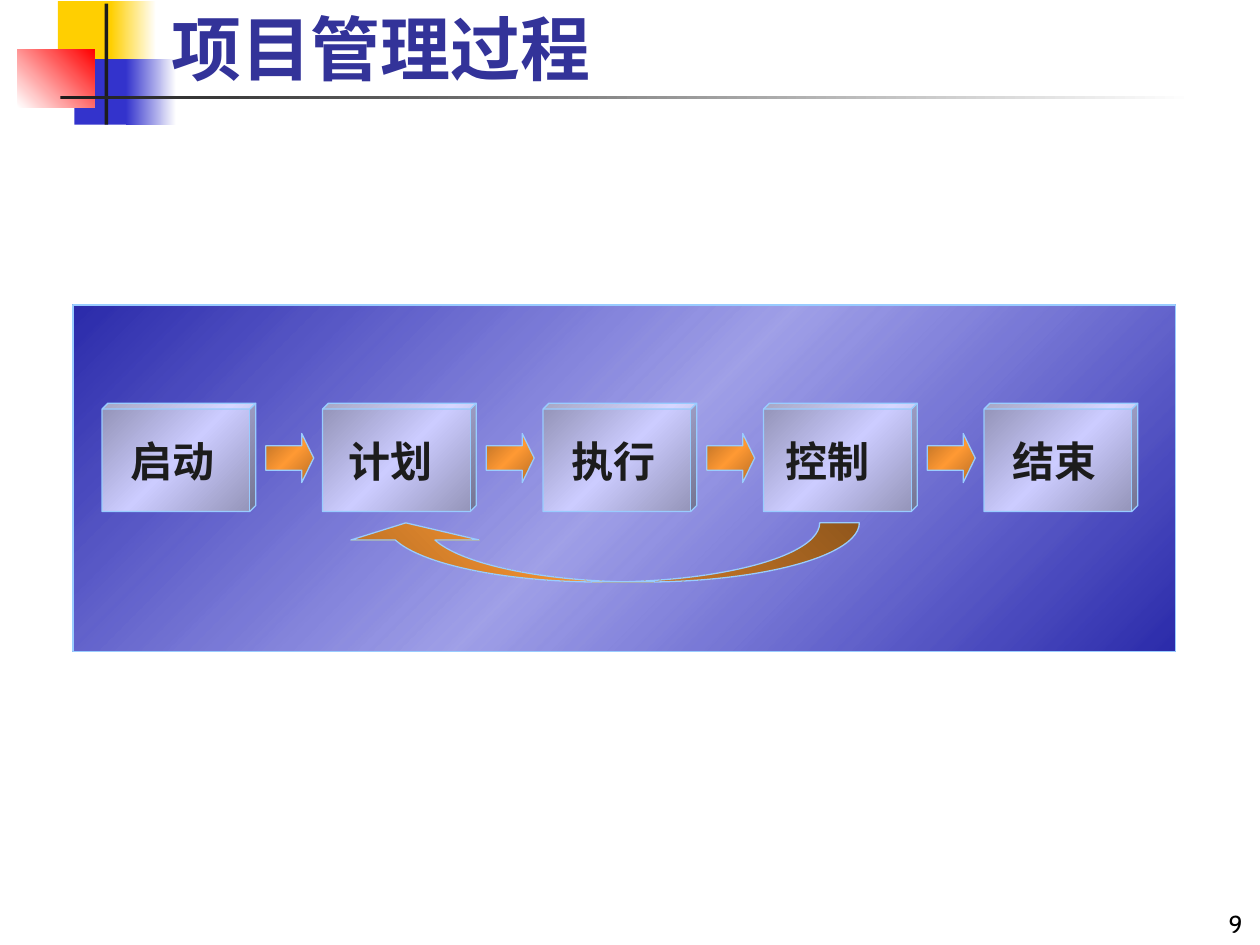
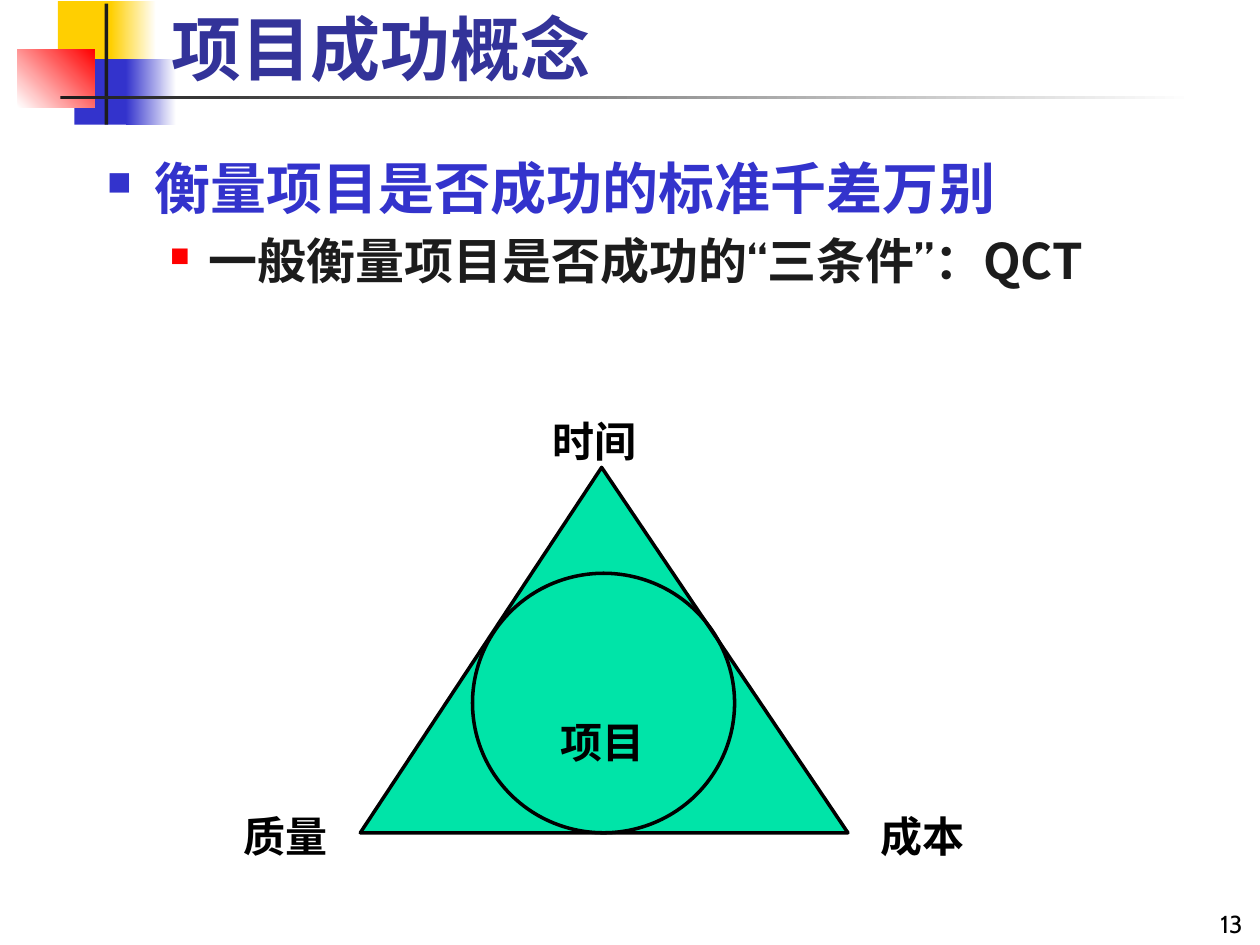
from lxml.etree import SubElement
from pptx import Presentation
from pptx.dml.color import RGBColor
from pptx.enum.shapes import MSO_SHAPE
from pptx.enum.text import MSO_ANCHOR, PP_ALIGN
from pptx.oxml.ns import qn
from pptx.util import Inches, Pt

COLORS = {
    "yellow": "FFCF01", "blue": "3333CC", "red": "FF0000", "white": "FFFFFF",
    "ink": "1C1C1C", "black": "000000", "title": "333399", "navy": "2B2BAA",
    "steel": "9292B6", "lilac": "CCCCFF", "sky": "99CCFF",
    "rust": "B66D24", "orange": "FF9933", "green": "00E4A8",
}
LATIN, CJK = "Cabin", "Noto Sans CJK SC"
COLS, ROWS = 100, 75
PANEL = (5.8, 24.2, 87.5, 27.5)
METAL = ["steel", "lilac", "steel"]
COPPER = ["rust", "orange", "rust"]


class Deck:
    """Hold the shared style and the current slide, and draw each kind of element."""

    def __init__(self):
        self.prs = Presentation()
        self.prs.slide_width, self.prs.slide_height = Inches(10), Inches(7.5)
        self.col = self.prs.slide_width / COLS
        self.row = self.prs.slide_height / ROWS
        self.s = None

    def place(self, x, y, w, h):
        return (round(x * self.col), round(y * self.row),
                round(w * self.col), round(h * self.row))

    def color(self, name):
        return RGBColor.from_string(COLORS[name])

    def gradient(self, sp, names, angle, mid_alpha=None):
        sp.fill.gradient()
        sp.fill.gradient_angle = -angle % 360
        stops = sp.fill._xPr.find(qn("a:gradFill")).find(qn("a:gsLst"))
        for old in list(stops):
            stops.remove(old)
        for i, name in enumerate(names):
            gs = SubElement(stops, qn("a:gs"), pos=str(100000 * i // (len(names) - 1)))
            clr = SubElement(gs, qn("a:srgbClr"), val=COLORS[name])
            if mid_alpha and i == 1:
                SubElement(clr, qn("a:alpha"), val=str(mid_alpha * 1000))

    def shape(self, kind, box, fill=None, line=None, width=0.75, angle=45,
              adj=(), mid_alpha=None):
        sp = self.s.shapes.add_shape(kind, *self.place(*box))
        sp.shadow.inherit = False
        if isinstance(fill, list):
            self.gradient(sp, fill, angle, mid_alpha)
        elif fill:
            sp.fill.solid()
            sp.fill.fore_color.rgb = self.color(fill)
        else:
            sp.fill.background()
        if line:
            sp.line.color.rgb = self.color(line)
            sp.line.width = Pt(width)
        else:
            sp.line.fill.background()
        for i, value in enumerate(adj):
            sp.adjustments[i] = value
        return sp

    def run(self, p, text, size, color, font=LATIN, bold=True):
        r = p.add_run()
        r.text = text
        r.font.size, r.font.bold, r.font.name = Pt(size), bold, font
        r.font.color.rgb = self.color(color)
        SubElement(r._r.get_or_add_rPr(), qn("a:ea"), typeface=LATIN)

    def caption(self, sp, text, color, font=LATIN, right_inset=0.1):
        tf = sp.text_frame
        tf.word_wrap = False
        tf.vertical_anchor = MSO_ANCHOR.MIDDLE
        tf.margin_right = Inches(right_inset)
        p = tf.paragraphs[0]
        p.alignment = PP_ALIGN.CENTER
        self.run(p, text, 24, color, font)

    def frame(self, box, anchor=MSO_ANCHOR.TOP):
        tf = self.s.shapes.add_textbox(*self.place(*box)).text_frame
        tf.word_wrap = True
        tf.vertical_anchor = anchor
        return tf

    def text(self, box, text, size, color, align=PP_ALIGN.LEFT,
             anchor=MSO_ANCHOR.TOP, font=LATIN, bold=True):
        p = self.frame(box, anchor).paragraphs[0]
        p.alignment = align
        self.run(p, text, size, color, font, bold)

    def bullets(self, box, items):
        tf = self.frame(box)
        for i, (text, size, color, mark, pct, left, hang) in enumerate(items):
            p = tf.add_paragraph() if i else tf.paragraphs[0]
            if i:
                p.space_before = Pt(size * 0.2)
            pPr = p._p.get_or_add_pPr()
            pPr.set("marL", str(Inches(left)))
            pPr.set("indent", str(-Inches(hang)))
            clr = SubElement(pPr, qn("a:buClr"))
            SubElement(clr, qn("a:srgbClr"), val=COLORS[mark])
            SubElement(pPr, qn("a:buSzPct"), val=str(pct * 1000))
            SubElement(pPr, qn("a:buChar"), char="■")
            self.run(p, text, size, color, CJK)

    def slide(self, title, number):
        self.s = self.prs.slides.add_slide(self.prs.slide_layouts[6])
        for box, fill, angle in (
            ((4.6, 0.1, 4.8, 5.2), "yellow", 0),
            ((8.8, 0.1, 3.6, 5.2), ["yellow", "white"], 0),
            ((5.9, 4.7, 4.6, 5.2), "blue", 0),
            ((10, 4.7, 4, 5.2), ["blue", "white"], 0),
            ((1.4, 3.9, 6.1, 4.6), ["white", "red"], 315),
            ((8.3, 0.3, 0.3, 9.6), "ink", 0),
            ((4.8, 7.6, 90, 0.3), ["ink", "white"], 0),
        ):
            self.shape(MSO_SHAPE.RECTANGLE, box, fill, angle=angle)
        self.text((12.6, 0.5, 85.2, 7.1), title, 40, "title",
                  anchor=MSO_ANCHOR.BOTTOM, font=CJK)
        self.text((78.8, 70, 20.8, 5), number, 14, "black", PP_ALIGN.RIGHT,
                  MSO_ANCHOR.BOTTOM, bold=False)


def process_slide(deck):
    """Draw the five process steps with the feedback arrow."""
    deck.slide("项目管理过程", "9")
    deck.shape(MSO_SHAPE.RECTANGLE, PANEL, ["navy", "blue", "navy"], "sky",
               mid_alpha=46)
    feedback = deck.shape(MSO_SHAPE.CURVED_LEFT_ARROW, (45.3, 23.3, 4.7, 41.1),
                          COPPER, "sky", adj=(0.67, 2.17, 0.29))
    feedback.rotation = 90
    steps = (("启动", LATIN, 0.16), ("计划", CJK, 0.19), ("执行", LATIN, 0.16),
             ("控制", CJK, 0.26), ("结束", LATIN, 0.16))
    pitch = 17.5
    for i, (name, font, inset) in enumerate(steps):
        x = 8.1 + i * pitch
        cube = deck.shape(MSO_SHAPE.CUBE, (x, 32, 12.2, 8.6), METAL, "sky",
                          adj=(0.055,))
        deck.caption(cube, name, "ink", font, inset)
        if i < len(steps) - 1:
            deck.shape(MSO_SHAPE.RIGHT_ARROW, (x + 13, 34.4, 3.8, 3.9), COPPER,
                       "sky", adj=(0.5, 0.25))


def success_slide(deck):
    """Draw the success criteria and the triangle around the project."""
    deck.slide("项目成功概念", "13")
    deck.bullets((7.5, 11.7, 83.3, 15), (
        ("衡量项目是否成功的标准千差万别", 32, "blue", "blue", 60, 0.38, 0.38),
        ("一般衡量项目是否成功的“三条件”：QCT", 28, "ink", "red", 55, 0.81, 0.31),
    ))
    triangle = deck.shape(MSO_SHAPE.ISOSCELES_TRIANGLE, (28.6, 37.1, 38.7, 29),
                          "green", "black", 2, adj=(0.495,))
    deck.caption(triangle, "项目", "black")
    deck.shape(MSO_SHAPE.OVAL, (37.5, 45.5, 20.8, 20.6), line="black", width=2)
    for name, x, y in (("时间", 41.2, 32.5), ("质量", 16.7, 63.8), ("成本", 67.3, 63.8)):
        deck.text((x, y, 11.9, 5), name, 24, "black", PP_ALIGN.CENTER)


def main():
    """Build both slides and save them."""
    deck = Deck()
    process_slide(deck)
    success_slide(deck)
    deck.prs.save("out.pptx")


if __name__ == "__main__":
    main()
